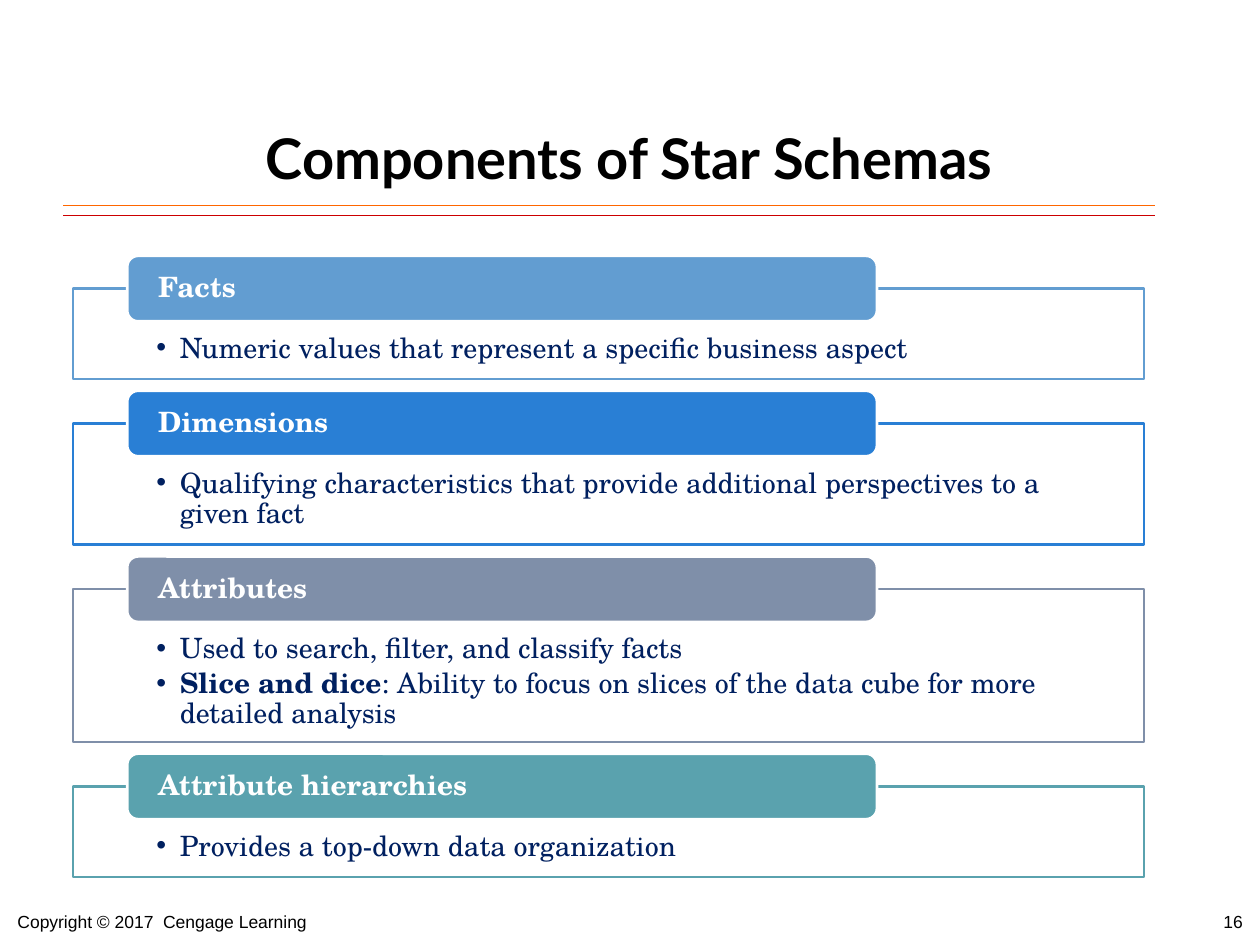
from lxml import etree
from pptx import Presentation
from pptx.dml.color import RGBColor
from pptx.enum import shapes, text
from pptx.oxml.ns import qn
from pptx.util import Pt

COLOURS = {
    "white": "FFFFFF", "black": "000000", "navy": "002060",
    "red": "CC0000", "orange": "FF6600",
    "sky": "629DD1", "blue": "297FD5", "slate": "7F8FA9", "teal": "5AA2AE",
}
SERIF = "TeX Gyre Schola"

# Heading, colour, panel height, bullets made of (text, bold) spans
SECTIONS = [
    ("Facts", "sky", 51.7,
     [[("Numeric values that represent a specific business aspect", False)]]),
    ("Dimensions", "blue", 69.3,
     [[("Qualifying characteristics that provide additional perspectives "
        "to a given fact", False)]]),
    ("Attributes", "slate", 87.3,
     [[("Used to search, filter, and classify facts", False)],
      [("Slice and dice", True),
       (": Ability to focus on slices of the data cube for more "
        "detailed analysis", False)]]),
    ("Attribute hierarchies", "teal", 51.7,
     [[("Provides a top-down data organization", False)]]),
]
PANEL_LEFT, PANEL_TOP, PANEL_WIDTH, PANEL_GAP = 41.8, 164.9, 612, 25.4
TAB_LEFT, TAB_WIDTH, TAB_HEIGHT, TAB_RISE = 72.7, 428.4, 37.4, 18.7


def colour(name):
    return RGBColor.from_string(COLOURS[name])


def style_font(font, name, size, ink, bold=False):
    font.name, font.size, font.bold = name, Pt(size), bold
    font.color.rgb = colour(ink)


def set_frame(frame, anchor, left=0, top=0, right=0, bottom=0):
    frame.word_wrap = True
    frame.vertical_anchor = anchor
    frame.margin_left, frame.margin_top = Pt(left), Pt(top)
    frame.margin_right, frame.margin_bottom = Pt(right), Pt(bottom)


def add_title(page, words):
    title = page.shapes.title
    title.left, title.top, title.width, title.height = (
        Pt(116.6), Pt(44.6), Pt(486), Pt(90))
    title.text_frame.text = words
    title.text_frame.vertical_anchor = text.MSO_ANCHOR.MIDDLE
    para = title.text_frame.paragraphs[0]
    para.alignment = text.PP_ALIGN.CENTER
    style_font(para.runs[0].font, "Lato", 32, "black", True)


def add_rule(page, top, ink):
    rule = page.shapes.add_connector(
        shapes.MSO_CONNECTOR.STRAIGHT, Pt(36), Pt(top), Pt(660), Pt(top))
    rule.line.color.rgb = colour(ink)
    rule.line.width = Pt(0.75)
    etree.SubElement(rule._element.spPr, qn("a:effectLst"))


def add_footer(page, words, left, width):
    box = page.shapes.add_textbox(Pt(left), Pt(517), Pt(width), Pt(18))
    set_frame(box.text_frame, text.MSO_ANCHOR.TOP, 7.2, 3.6, 7.2, 3.6)
    box.text_frame.text = words
    style_font(box.text_frame.paragraphs[0].runs[0].font, "Arial", 10, "black")


def add_box(page, kind, left, top, width, height, fill, line):
    box = page.shapes.add_shape(kind, Pt(left), Pt(top), Pt(width), Pt(height))
    box.shadow.inherit = False
    box.fill.solid()
    box.fill.fore_color.rgb = colour(fill)
    box.line.color.rgb = colour(line)
    box.line.width = Pt(1.5)
    return box


def add_bullet(para):
    properties = para._p.get_or_add_pPr()
    properties.set("marL", str(Pt(13.5)))
    properties.set("indent", str(-Pt(13.5)))
    etree.SubElement(properties, qn("a:buFont"), typeface="Arial")
    etree.SubElement(properties, qn("a:buChar"), char="•")


def add_panel(page, top, height, ink, bullets):
    panel = add_box(page, shapes.MSO_SHAPE.RECTANGLE, PANEL_LEFT, top,
                    PANEL_WIDTH, height, "white", ink)
    # White fill at 90 % opacity
    white = panel._element.spPr.find(qn("a:solidFill"))[0]
    etree.SubElement(white, qn("a:alpha"), val="90000")
    frame = panel.text_frame
    set_frame(frame, text.MSO_ANCHOR.TOP, 47.5, 26, 47.5, 8.6)
    for number, spans in enumerate(bullets):
        para = frame.add_paragraph() if number else frame.paragraphs[0]
        add_bullet(para)
        para.alignment = text.PP_ALIGN.LEFT
        para.line_spacing = 0.9
        para.space_after = Pt(2.4)
        for words, bold in spans:
            span = para.add_run()
            span.text = words
            style_font(span.font, SERIF, 16, "navy", bold)


def add_tab(page, top, ink, heading):
    tab = add_box(page, shapes.MSO_SHAPE.ROUNDED_RECTANGLE, TAB_LEFT, top,
                  TAB_WIDTH, TAB_HEIGHT, ink, "white")
    set_frame(tab.text_frame, text.MSO_ANCHOR.MIDDLE, 15.8, 0, 15.8)
    tab.text_frame.text = heading
    para = tab.text_frame.paragraphs[0]
    para.alignment = text.PP_ALIGN.LEFT
    para.line_spacing = 0.9
    style_font(para.runs[0].font, SERIF, 16, "white", True)


def main():
    deck = Presentation()
    deck.slide_width, deck.slide_height = Pt(720), Pt(540)
    page = deck.slides.add_slide(deck.slide_layouts.get_by_name("Title Only"))

    # Heading and double rule
    add_rule(page, 123.1, "red")
    add_rule(page, 117.4, "orange")
    add_title(page, "Components of Star Schemas")

    # Footer
    add_footer(page, "Copyright © 2017  Cengage Learning", 2.9, 228)
    add_footer(page, "16", 692, 36)

    # Stacked panels, each with a tab across its top edge
    top = PANEL_TOP
    for heading, ink, height, bullets in SECTIONS:
        add_panel(page, top, height, ink, bullets)
        add_tab(page, top - TAB_RISE, ink, heading)
        top += height + PANEL_GAP

    deck.save("out.pptx")


if __name__ == "__main__":
    main()
